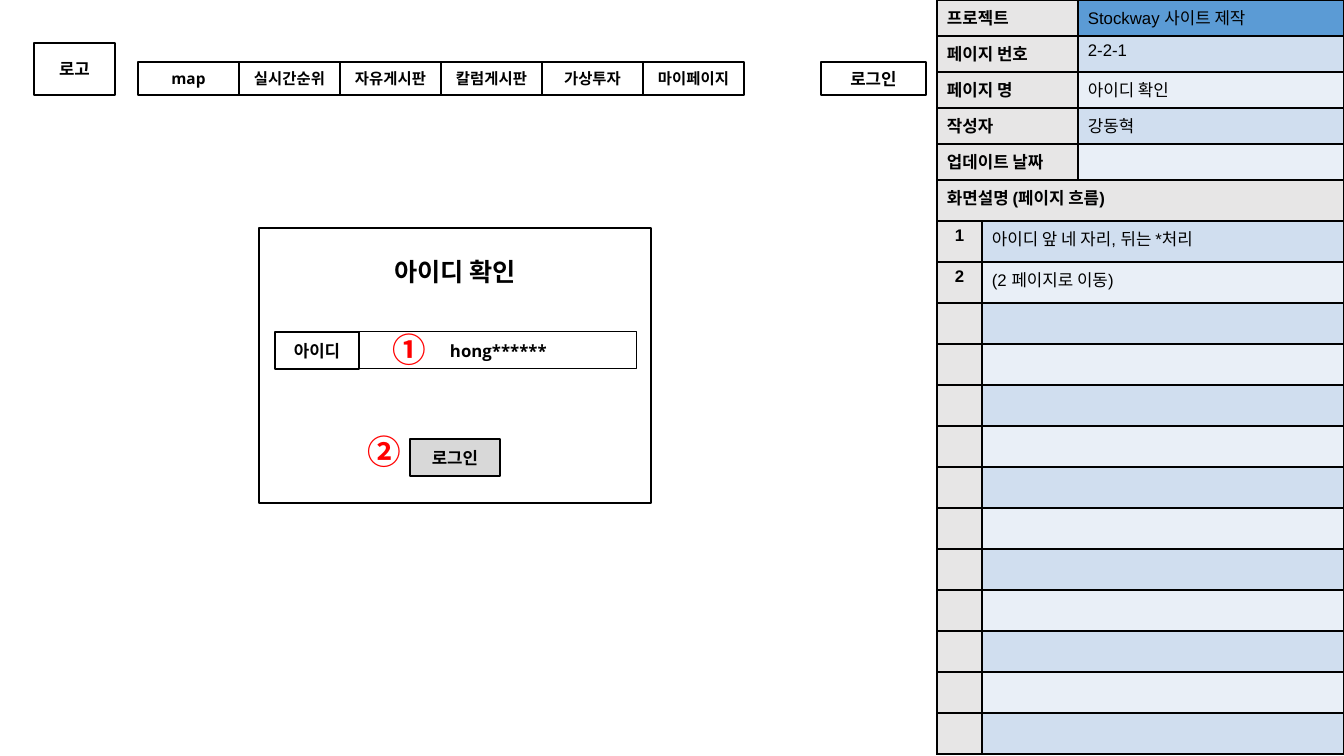
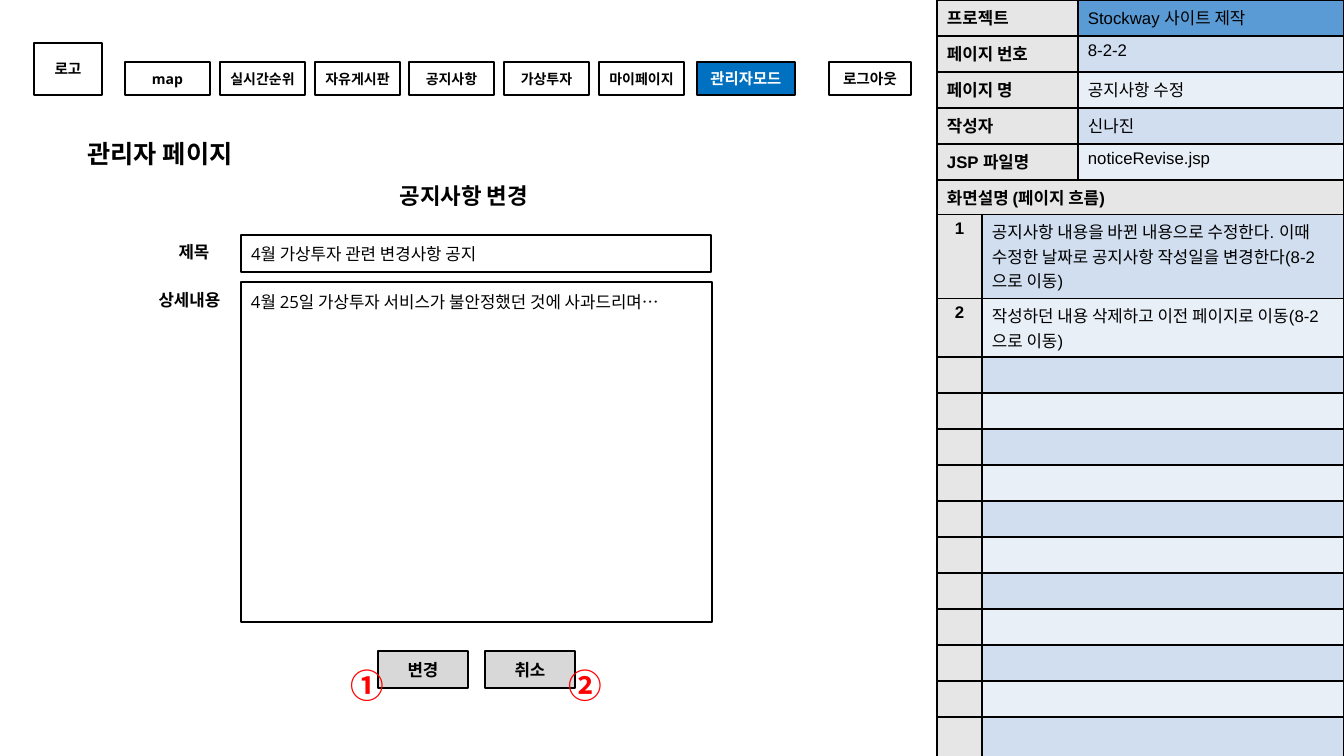
from dataclasses import dataclass

from lxml import etree
from pptx import Presentation
from pptx.dml.color import RGBColor
from pptx.enum.shapes import MSO_SHAPE
from pptx.enum.text import MSO_ANCHOR, MSO_AUTO_SIZE, PP_ALIGN
from pptx.oxml.ns import qn
from pptx.presentation import Presentation as Deck
from pptx.shapes.autoshape import Shape
from pptx.slide import Slide
from pptx.table import Table, _Cell
from pptx.util import Emu, Pt

RECTANGLE = MSO_SHAPE.RECTANGLE
LEFT, CENTER = PP_ALIGN.LEFT, PP_ALIGN.CENTER
TOP, MIDDLE = MSO_ANCHOR.TOP, MSO_ANCHOR.MIDDLE
NO_AUTOFIT = MSO_AUTO_SIZE.NONE

COLORS = {
    "ink": "000000",
    "white": "FFFFFF",
    "mark": "FF0000",
    "button": "D8D8D8",
    "admin": "0070C0",
    "label": "E7E6E6",
    "project": "5B9BD5",
    "band_dark": "D0DEEF",
    "band_light": "E9EFF7",
}
UI_FONT, TABLE_FONT, MARK_FONT = "Open Sans", "Arial", "Noto Sans CJK KR"

PAGE_WIDTH, PAGE_HEIGHT = 1344, 756
EMU_PER_PX = 12192000 / PAGE_WIDTH
PANEL_LEFT = 937
INFO_COLUMNS, NOTE_COLUMNS = (141, 266), (45, 362)
INFO_ROW = 36
NAV_TOP, NAV_HEIGHT = 62, 33
FIELD_HEIGHT = 37
BUTTON_WIDTH = 90


@dataclass(frozen=True)
class Box:
    """A wireframe rectangle, or plain text when it has no line."""
    left: int
    top: int
    width: int
    height: int
    text: str = ""
    size: float = 12
    bold: bool = True
    color: str = "ink"
    fill: str = ""
    line: float = 1.5
    align: PP_ALIGN = CENTER
    anchor: MSO_ANCHOR = MIDDLE
    side_inset: int = 10


@dataclass(frozen=True)
class Mark:
    """A red circled number that points to a note."""
    left: int
    top: int
    text: str


@dataclass(frozen=True)
class Screen:
    """One page of the storyboard."""
    title: Box
    info: list[tuple[str, str]]
    notes: list[str]
    note_rows: list[int]
    boxes: list[Box]
    marks: list[Mark]


def px(length: float) -> Emu:
    return Emu(round(length * EMU_PER_PX))


def rgb(name: str) -> RGBColor:
    return RGBColor.from_string(COLORS[name])


def write(shape: Shape | _Cell, text: str, size: float, font: str,
          bold: bool, color: str = "ink", align: PP_ALIGN = LEFT) -> None:
    para = shape.text_frame.paragraphs[0]
    para.alignment = align
    para.font.size = Pt(size)
    para.font.name = font
    para.font.bold = bold
    para.font.color.rgb = rgb(color)
    para.add_run().text = text


def set_frame(shape: Shape, anchor: MSO_ANCHOR, side: int, end: int) -> None:
    frame = shape.text_frame
    frame.word_wrap = True
    frame.auto_size = NO_AUTOFIT
    frame.vertical_anchor = anchor
    frame.margin_left = frame.margin_right = px(side)
    frame.margin_top = frame.margin_bottom = px(end)


def write_box(shape: Shape, box: Box) -> None:
    set_frame(shape, box.anchor, box.side_inset, 10)
    write(shape, box.text, box.size, UI_FONT, box.bold, box.color, box.align)


def draw_box(page: Slide, box: Box) -> None:
    frame = [px(n) for n in (box.left, box.top, box.width, box.height)]
    if box.line:
        shape = page.shapes.add_shape(RECTANGLE, *frame)
        shape.shadow.inherit = False
        shape.line.color.rgb = rgb("ink")
        shape.line.width = Pt(box.line)
        if box.fill:
            shape.fill.solid()
            shape.fill.fore_color.rgb = rgb(box.fill)
        else:
            shape.fill.background()
    else:
        shape = page.shapes.add_textbox(*frame)
    if box.text:
        write_box(shape, box)


def draw_title(page: Slide, box: Box) -> None:
    title = page.shapes.title
    title.left, title.top = px(box.left), px(box.top)
    title.width, title.height = px(box.width), px(box.height)
    write_box(title, box)


def draw_mark(page: Slide, mark: Mark) -> None:
    shape = page.shapes.add_textbox(px(mark.left), px(mark.top), px(60), px(50))
    set_frame(shape, TOP, 10, 5)
    write(shape, mark.text, 24, MARK_FONT, True, "mark")


def add_borders(cell: _Cell) -> None:
    properties = cell._tc.get_or_add_tcPr()
    for index, side in enumerate(("a:lnL", "a:lnR", "a:lnT", "a:lnB")):
        border = etree.Element(qn(side), w=str(Pt(1)))
        fill = etree.SubElement(border, qn("a:solidFill"))
        etree.SubElement(fill, qn("a:srgbClr"), val=COLORS["ink"])
        properties.insert(index, border)


def fill_cell(cell: _Cell, text: str, fill: str, bold: bool,
              align: PP_ALIGN = LEFT) -> None:
    cell.fill.solid()
    cell.fill.fore_color.rgb = rgb(fill)
    cell.margin_left = cell.margin_right = px(10)
    # Empty cells need no inset, so their rows keep the given height
    cell.margin_top = cell.margin_bottom = px(5 if text else 0)
    if text:
        write(cell, text, 12, TABLE_FONT, bold, align=align)
    add_borders(cell)


def add_grid(page: Slide, top: int, columns: tuple[int, int],
             rows: list[int]) -> Table:
    table = page.shapes.add_table(
        len(rows), len(columns), px(PANEL_LEFT), px(top),
        px(sum(columns)), px(sum(rows))).table
    table.first_row = table.horz_banding = False
    for column, width in zip(table.columns, columns):
        column.width = px(width)
    for row, height in zip(table.rows, rows):
        row.height = px(height)
    return table


def band(row: int) -> str:
    return "band_dark" if row % 2 else "band_light"


def draw_panel(page: Slide, screen: Screen) -> None:
    # Page facts
    facts = add_grid(page, 0, INFO_COLUMNS, [INFO_ROW] * len(screen.info))
    for row, (label, value) in enumerate(screen.info):
        fill_cell(facts.cell(row, 0), label, "label", True)
        fill_cell(facts.cell(row, 1), value, band(row) if row else "project", False)

    # Numbered notes
    notes = add_grid(page, INFO_ROW * len(screen.info), NOTE_COLUMNS, screen.note_rows)
    notes.cell(0, 0).merge(notes.cell(0, 1))
    fill_cell(notes.cell(0, 0), "화면설명 (페이지 흐름)", "label", True)
    add_borders(notes.cell(0, 1))
    for row in range(1, len(screen.note_rows)):
        used = row <= len(screen.notes)
        fill_cell(notes.cell(row, 0), str(row) if used else "", "label", True, CENTER)
        fill_cell(notes.cell(row, 1), screen.notes[row - 1] if used else "",
                  band(row), False)


def page_info(number: str, name: str, author: str, label: str,
              value: str) -> list[tuple[str, str]]:
    return [("프로젝트", "Stockway 사이트 제작"), ("페이지 번호", number),
            ("페이지 명", name), ("작성자", author), (label, value)]


def nav_boxes(labels: list[str], left: int, last_left: int, width: int,
              size: float) -> list[Box]:
    step = (last_left - left) / (len(labels) - 1)
    return [Box(round(left + step * i), NAV_TOP, width, NAV_HEIGHT, label, size,
                side_inset=0) for i, label in enumerate(labels)]


def heading(left: int, top: int, text: str, size: float = 18) -> Box:
    return Box(left, top, 182, FIELD_HEIGHT, text, size, line=0)


def button(left: int, top: int, text: str) -> Box:
    return Box(left, top, BUTTON_WIDTH, FIELD_HEIGHT, text, fill="button")


SCREENS = [
    Screen(
        title=heading(364, 253, "아이디 확인"),
        info=page_info("2-2-1", "아이디 확인", "강동혁", "업데이트 날짜", ""),
        notes=["아이디 앞 네 자리, 뒤는 *처리", "(2 페이지로 이동)"],
        note_rows=[41] * 14,
        boxes=[
            Box(259, 228, 392, 275),
            Box(275, 332, 84, FIELD_HEIGHT, "아이디"),
            Box(360, 332, 277, FIELD_HEIGHT, "hong******", line=0.75),
            button(410, 439, "로그인"),
            Box(34, 43, 81, 52, "로고"),
            Box(821, NAV_TOP, 105, NAV_HEIGHT, "로그인"),
            *nav_boxes(["map", "실시간순위", "자유게시판", "칼럼게시판", "가상투자",
                        "마이페이지"], 138, 643, 101, 11),
        ],
        marks=[Mark(383, 324, "①"), Mark(358, 426, "②")],
    ),
    Screen(
        title=heading(69, 135, "관리자 페이지"),
        info=page_info("8-2-2", "공지사항 수정", "신나진", "JSP 파일명",
                       "noticeRevise.jsp"),
        notes=["공지사항 내용을 바뀐 내용으로 수정한다. 이때 수정한 날짜로 "
               "공지사항 작성일을 변경한다(8-2으로 이동)",
               "작성하던 내용 삭제하고 이전 페이지로 이동(8-2으로 이동)"],
        note_rows=[33, 84, 58] + [36] * 10 + [40],
        boxes=[
            Box(34, 43, 68, 52, "로고", 10.5),
            *nav_boxes(["map", "실시간순위", "자유게시판", "공지사항", "가상투자",
                        "마이페이지"], 125, 599, 85, 10),
            Box(697, NAV_TOP, 98, NAV_HEIGHT, "관리자모드", 11, color="white",
                fill="admin"),
            Box(829, NAV_TOP, 82, NAV_HEIGHT, "로그아웃", 10.5),
            heading(373, 177, "공지사항 변경", 16),
            Box(152, 233, 84, FIELD_HEIGHT, "제목", line=0),
            Box(137, 281, 105, FIELD_HEIGHT, "상세내용", line=0),
            Box(241, 235, 470, FIELD_HEIGHT, "4월 가상투자 관련 변경사항 공지",
                bold=False, align=LEFT),
            Box(241, 282, 471, 340,
                "4월 25일 가상투자 서비스가 불안정했던 것에 사과드리며…",
                bold=False, align=LEFT, anchor=TOP),
            button(378, 651, "변경"),
            button(485, 651, "취소"),
        ],
        marks=[Mark(341, 660, "①"), Mark(559, 660, "②")],
    ),
]


def draw_screen(deck: Deck, screen: Screen) -> None:
    page = deck.slides.add_slide(deck.slide_layouts.get_by_name("Title Only"))
    draw_title(page, screen.title)
    draw_panel(page, screen)
    for box in screen.boxes:
        draw_box(page, box)
    for mark in screen.marks:
        draw_mark(page, mark)


def main() -> None:
    deck = Presentation()
    deck.slide_width, deck.slide_height = px(PAGE_WIDTH), px(PAGE_HEIGHT)
    for screen in SCREENS:
        draw_screen(deck, screen)
    deck.save("out.pptx")


if __name__ == "__main__":
    main()
